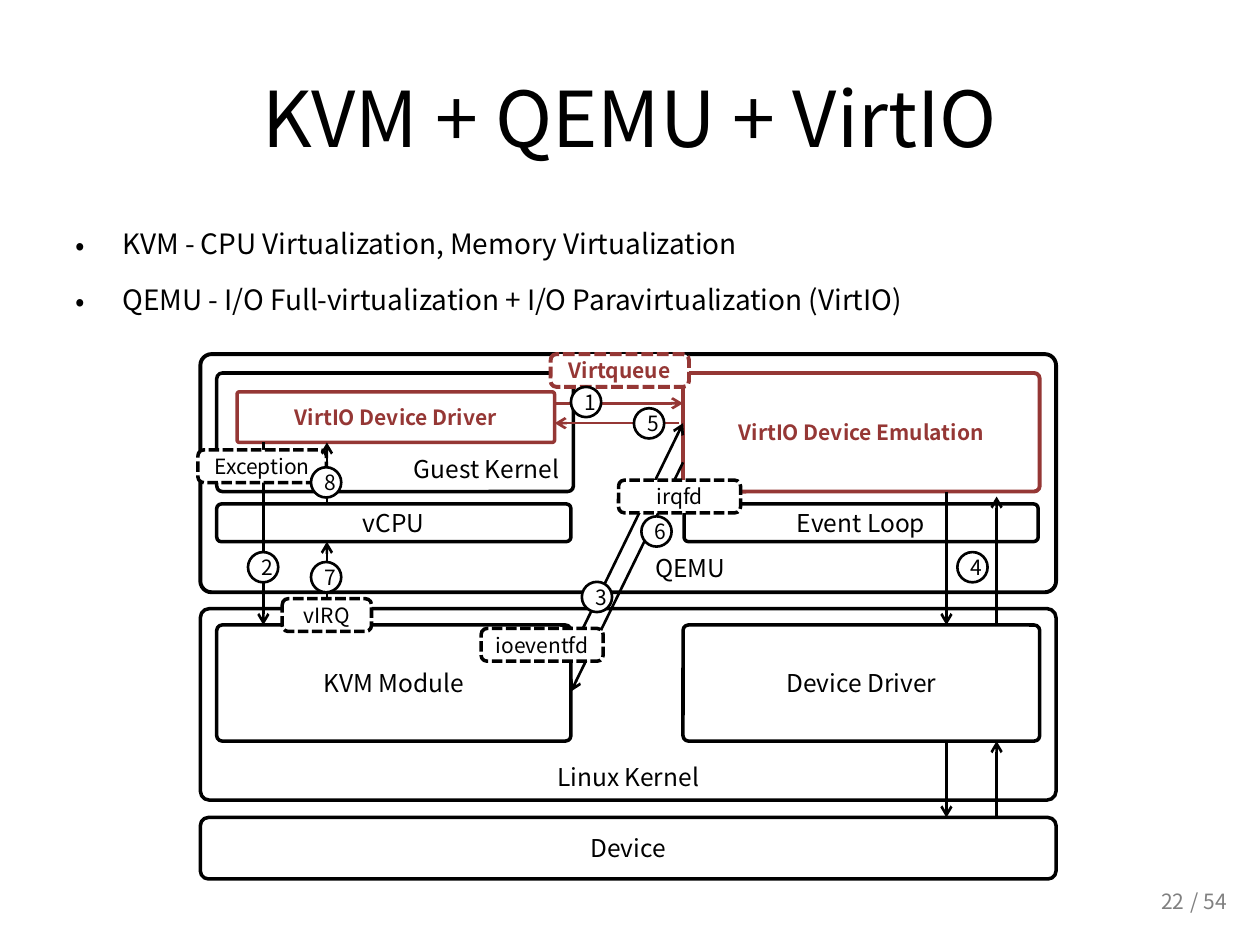
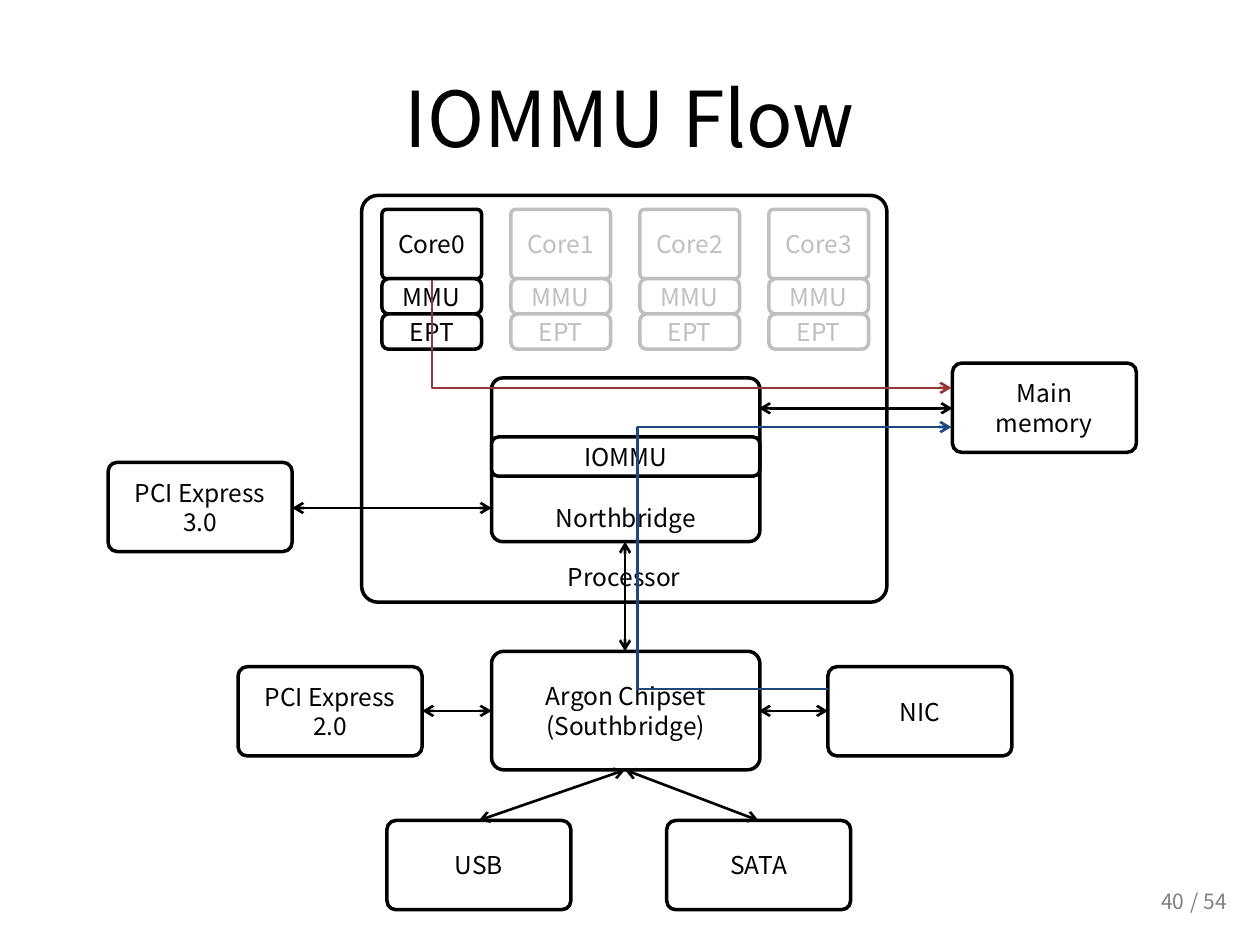
from dataclasses import dataclass

from pptx import Presentation
from pptx.dml.color import RGBColor
from pptx.enum.dml import MSO_LINE
from pptx.enum.shapes import MSO_CONNECTOR, MSO_SHAPE
from pptx.enum.text import MSO_ANCHOR, PP_ALIGN
from pptx.oxml.ns import qn
from pptx.util import Cm, Pt

ROUND, OVAL = MSO_SHAPE.ROUNDED_RECTANGLE, MSO_SHAPE.OVAL
STRAIGHT, DASH = MSO_CONNECTOR.STRAIGHT, MSO_LINE.SQUARE_DOT
TOP, MID, LOW = MSO_ANCHOR.TOP, MSO_ANCHOR.MIDDLE, MSO_ANCHOR.BOTTOM
LEFT, MIDST, RIGHT = PP_ALIGN.LEFT, PP_ALIGN.CENTER, PP_ALIGN.RIGHT


@dataclass(frozen=True)
class Theme:
    face: str = "Noto Sans CJK KR"
    ink: RGBColor = RGBColor(0, 0, 0)
    paper: RGBColor = RGBColor(255, 255, 255)
    red: RGBColor = RGBColor(0x95, 0x37, 0x35)
    blue: RGBColor = RGBColor(0x1F, 0x49, 0x7D)
    pale: RGBColor = RGBColor(0xBF, 0xBF, 0xBF)
    grey: RGBColor = RGBColor(0x80, 0x80, 0x80)
    title: int = 44
    body: int = 16
    label: int = 14
    small: int = 12
    edge: float = 2
    thick: float = 2.25
    thin: float = 1.5


THEME = Theme()


def put(frame, text, *, size, color=THEME.ink, align=LEFT, anchor=TOP,
        bold=False, bullet=False, pad=0.25):
    frame.word_wrap = True
    frame.vertical_anchor = anchor
    frame.margin_left = Cm(pad)
    for i, line in enumerate(text.split("\n")):
        para = frame.add_paragraph() if i else frame.paragraphs[0]
        para.alignment = align
        if bullet:
            para.line_spacing = 1.5
            if i:
                para.space_before = Pt(3.2)
            props = para._p.get_or_add_pPr()
            props.set("marL", str(Cm(0.95)))
            props.set("indent", str(-Cm(0.95)))
            props.append(props.makeelement(qn("a:buFont"), {"typeface": THEME.face}))
            props.append(props.makeelement(qn("a:buChar"), {"char": "•"}))
        run = para.add_run()
        run.text = line
        font = run.font
        font.name, font.size, font.bold = THEME.face, Pt(size), bold
        font.color.rgb = color


class Deck:
    def __init__(self, theme):
        self.theme = theme
        self.show = Presentation()
        self.show.slide_width, self.show.slide_height = Cm(25.4), Cm(19.05)
        self.slide = None

    def page(self, title, number):
        t = self.theme
        self.slide = self.show.slides.add_slide(self.show.slide_layouts[6])
        self.text(title, 1.27, 0.76, 22.86, 3.18, size=t.title, align=MIDST, anchor=MID)
        self.text("/ 54", 23.75, 17.78, 2.39, 0.76, size=t.small, color=t.grey)
        self.text(str(number), 18.21, 17.65, 5.92, 1.02, size=t.small,
                  color=t.grey, align=RIGHT, anchor=MID)

    def text(self, text, x, y, w, h, **form):
        box = self.slide.shapes.add_textbox(Cm(x), Cm(y), Cm(w), Cm(h))
        put(box.text_frame, text, **form)

    def shape(self, kind, text, x, y, w, h, *, color, width, **form):
        item = self.slide.shapes.add_shape(kind, Cm(x), Cm(y), Cm(w), Cm(h))
        item.shadow.inherit = False
        item.fill.solid()
        item.fill.fore_color.rgb = self.theme.paper
        self.stroke(item, color, width)
        put(item.text_frame, text, color=color, **form)
        return item

    def box(self, text, x, y, w, h, bend=0.047, *, color=THEME.ink, width=THEME.edge,
            size=THEME.label, align=MIDST, anchor=MID, **form):
        item = self.shape(ROUND, text, x, y, w, h, color=color, width=width,
                          size=size, align=align, anchor=anchor, **form)
        item.adjustments[0] = bend
        return item

    def tag(self, text, x, y, w, **form):
        item = self.box(text, x, y, w, 0.66, 0.183, size=self.theme.small, **form)
        item.line.dash_style = DASH

    def step(self, number, x, y):
        t = self.theme
        self.shape(OVAL, str(number), x, y, 0.61, 0.61, color=t.ink,
                   width=t.thin, size=t.small, align=MIDST, anchor=MID)

    def stroke(self, item, color, width, ends=()):
        item.line.color.rgb = color
        item.line.width = Pt(width)
        pen = item.line._get_or_add_ln()
        for end in ends:
            pen.append(pen.makeelement(qn(f"a:{end}End"), {"type": "arrow"}))

    def arrow(self, x1, y1, x2, y2, color=THEME.ink, ends=("tail",)):
        item = self.slide.shapes.add_connector(STRAIGHT, Cm(x1), Cm(y1), Cm(x2), Cm(y2))
        self.stroke(item, color, self.theme.thin, ends)
        props = item._element.spPr
        props.append(props.makeelement(qn("a:effectLst"), {}))

    def route(self, color, *spots):
        first, *rest = [(Cm(x), Cm(y)) for x, y in spots]
        maker = self.slide.shapes.build_freeform(*first)
        maker.add_line_segments(rest, close=False)
        item = maker.convert_to_shape()
        item.shadow.inherit = False
        item.fill.background()
        self.stroke(item, color, self.theme.thin, ("tail",))


def virtio(deck):
    t = deck.theme
    hot = dict(color=t.red, bold=True)
    deck.page("KVM + QEMU + VirtIO", 22)
    deck.text("KVM - CPU Virtualization, Memory Virtualization\n"
              "QEMU - I/O Full-virtualization + I/O Paravirtualization (VirtIO)",
              1.27, 4.11, 22.86, 12.57, size=t.body, bullet=True)

    deck.box("Linux Kernel", 4.04, 12.27, 17.25, 3.86, anchor=LOW)
    deck.box("QEMU", 4.04, 7.14, 17.25, 4.8, width=t.thick, anchor=LOW, pad=2.75)
    deck.box("vCPU", 4.37, 10.16, 7.14, 0.76, 0.12)
    deck.box("KVM Module", 4.37, 12.6, 7.14, 2.34)
    deck.box("VirtIO Device Emulation", 13.77, 7.52, 7.19, 2.39,
             width=t.thick, size=t.small, **hot)
    deck.box("Device Driver", 13.77, 12.6, 7.19, 2.34)
    deck.box("Device", 4.04, 16.48, 17.25, 1.24, 0.132)
    deck.box("Guest Kernel", 4.37, 7.52, 7.19, 2.39, align=RIGHT, anchor=LOW)
    deck.box("VirtIO Device Driver", 4.78, 7.9, 6.4, 1.02, size=t.small, **hot)

    deck.arrow(5.31, 8.92, 5.31, 12.6)
    deck.tag("Exception", 3.99, 9.07, 2.59)
    deck.arrow(13.77, 8.53, 11.51, 13.16, ends=("head",))
    deck.arrow(6.59, 12.62, 6.59, 10.92)
    deck.arrow(6.59, 10.16, 6.59, 8.92)
    deck.tag("vIRQ", 5.69, 12.07, 1.8)
    deck.arrow(11.18, 8.13, 13.77, 8.13, t.red)
    deck.tag("Virtqueue", 11.1, 7.14, 2.79, width=t.thick, **hot)
    deck.arrow(13.77, 9.32, 11.51, 13.94)
    deck.tag("ioeventfd", 9.7, 12.67, 2.46)
    deck.box("Event Loop", 13.79, 10.16, 7.14, 0.76, 0.12)
    deck.tag("irqfd", 12.47, 9.68, 2.46)
    deck.arrow(19.08, 9.91, 19.08, 12.6)
    deck.arrow(20.09, 12.62, 20.09, 10.01)
    deck.arrow(19.08, 14.94, 19.08, 16.48)
    deck.arrow(20.09, 16.48, 20.09, 14.94)
    deck.arrow(13.69, 8.53, 11.18, 8.53, t.red)

    steps = [(11.51, 7.8), (5, 11.13), (11.73, 11.73), (19.3, 11.13),
             (12.78, 8.23), (12.93, 10.41), (6.27, 11.33), (6.27, 9.42)]
    for number, spot in enumerate(steps, 1):
        deck.step(number, *spot)


def iommu(deck):
    t = deck.theme
    deck.page("IOMMU Flow", 40)
    deck.box("Processor", 7.29, 3.94, 10.59, 8.2, 0.04, anchor=LOW)
    for i in range(4):
        x, color = 7.7 + 2.6 * i, t.pale if i else t.ink
        deck.box(f"Core{i}", x, 4.22, 2.01, 1.4, 0.068, color=color)
        for j, name in enumerate(("MMU", "EPT")):
            deck.box(name, x, 5.62 + 0.71 * j, 2.01, 0.71, 0.19, color=color)

    deck.box("Northbridge", 9.91, 7.62, 5.41, 3.3, 0.068, anchor=LOW)
    deck.box("Argon Chipset\n(Southbridge)", 9.91, 13.13, 5.41, 2.39, 0.103)
    deck.box("IOMMU", 9.91, 8.81, 5.41, 0.79, 0.174)
    parts = [("PCI Express 3.0", 2.18, 9.32), ("Main memory", 19.2, 7.32),
             ("PCI Express 2.0", 4.8, 13.44), ("NIC", 16.69, 13.44),
             ("USB", 7.8, 16.54), ("SATA", 13.44, 16.54)]
    for name, x, y in parts:
        deck.box(name, x, y, 3.71, 1.8, 0.103)

    links = [(5.89, 10.24, 9.91, 10.24), (15.3, 8.23, 19.2, 8.23),
             (15.3, 14.33, 16.69, 14.33), (8.51, 14.33, 9.91, 14.33),
             (12.6, 10.92, 12.6, 13.13), (9.65, 16.54, 12.6, 15.52),
             (15.29, 16.54, 12.6, 15.52)]
    for link in links:
        deck.arrow(*link, ends=("head", "tail"))
    deck.route(t.red, (8.71, 5.64), (8.71, 7.82), (19.18, 7.82))
    deck.route(t.blue, (16.69, 13.89), (12.85, 13.89), (12.85, 8.61), (19.18, 8.61))


def main():
    deck = Deck(THEME)
    virtio(deck)
    iommu(deck)
    deck.show.save("out.pptx")


if __name__ == "__main__":
    main()
